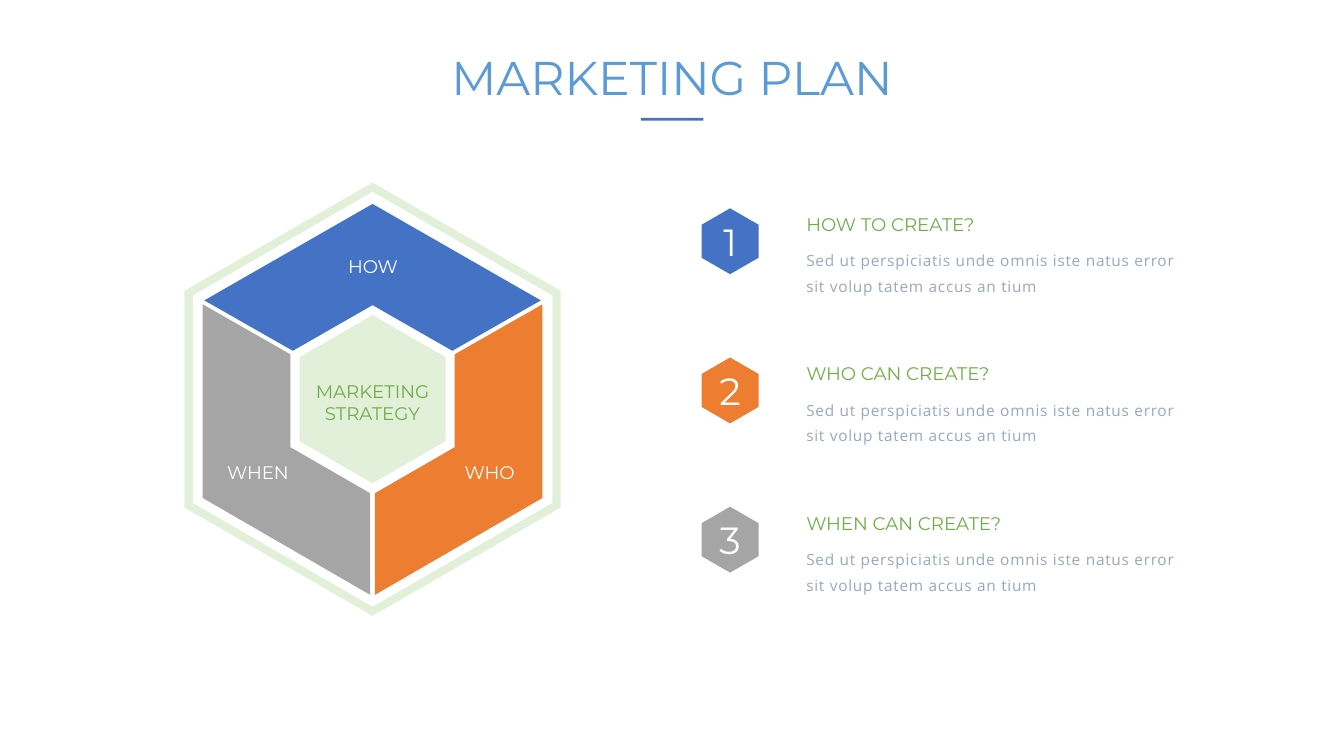
from typing import NamedTuple

from pptx import Presentation
from pptx.dml.color import RGBColor
from pptx.enum.shapes import MSO_SHAPE
from pptx.enum.text import MSO_ANCHOR as Anchor, PP_ALIGN as Align
from pptx.util import Cm, Pt

BLUE = RGBColor(0x44, 0x72, 0xC4)
ORANGE = RGBColor(0xED, 0x7D, 0x31)
GRAY = RGBColor(0xA5, 0xA5, 0xA5)
PALE_GREEN = RGBColor(0xE2, 0xF0, 0xD9)
GREEN = RGBColor(0x70, 0xAD, 0x47)
TITLE_BLUE = RGBColor(0x5B, 0x9B, 0xD5)
SLATE = RGBColor(0x99, 0xA8, 0xBD)
WHITE = RGBColor(0xFF, 0xFF, 0xFF)

HEADING_FONT = "Montserrat"
BODY_FONT = "Open Sans"
DETAIL = "Sed ut perspiciatis unde omnis iste natus error sit volup tatem accus an tium"

# All plain numbers below are centimetres.
CENTER_X, CENTER_Y = 9.39, 10.06
NUMBER_X, NUMBER_Y = 18.4, 6.08
STEP_PITCH = 3.76
STEP_TEXT_X, STEP_TEXT_WIDTH = 20.32, 9.75

Outline = list[tuple[float, float]]


class Box(NamedTuple):
    left: float
    top: float
    width: float
    height: float


class Style(NamedTuple):
    size: float
    color: RGBColor
    align: Align = Align.CENTER
    font: str = HEADING_FONT


class Segment(NamedTuple):
    label: str
    color: RGBColor
    outline: Outline  # relative to the diagram centre
    label_left: float
    label_top: float


class Step(NamedTuple):
    heading: str
    color: RGBColor


HOW_OUTLINE: Outline = [(-2.01, -1.22), (0, -2.37), (2.01, -1.22),
                        (4.24, -2.49), (0, -4.92), (-4.24, -2.49)]
WHO_OUTLINE: Outline = [(2.07, -1.13), (2.07, 1.21), (0.06, 2.37),
                        (0.06, 4.93), (4.28, 2.49), (4.28, -2.39)]
WHEN_OUTLINE: Outline = [(-x, y) for x, y in WHO_OUTLINE]

SEGMENTS = [
    Segment("WHEN", GRAY, WHEN_OUTLINE, 5.23, 11.63),
    Segment("WHO", ORANGE, WHO_OUTLINE, 11.07, 11.63),
    Segment("HOW", BLUE, HOW_OUTLINE, 8.13, 6.43),
]
STEPS = [
    Step("HOW TO CREATE?", BLUE),
    Step("WHO CAN CREATE?", ORANGE),
    Step("WHEN CAN CREATE?", GRAY),
]

TITLE_STYLE = Style(33.8, TITLE_BLUE)
SEGMENT_STYLE = Style(13, WHITE)
CORE_STYLE = Style(13, GREEN)
NUMBER_STYLE = Style(27, WHITE)
HEADING_STYLE = Style(13, GREEN, Align.LEFT)
DETAIL_STYLE = Style(11, SLATE, Align.LEFT, BODY_FONT)


def hexagon(half_width: float, half_height: float) -> Outline:
    """Corners of a hexagon standing on its point, around (0, 0)."""
    w, h = half_width, half_height
    return [(0, -h), (w, -h / 2), (w, h / 2), (0, h), (-w, h / 2), (-w, -h / 2)]


def paint(shape, color: RGBColor) -> None:
    shape.shadow.inherit = False
    shape.fill.solid()
    shape.fill.fore_color.rgb = color
    shape.line.fill.background()


def add_outline(slide, x: float, y: float, color: RGBColor, *outlines: Outline) -> None:
    """Draw closed outlines around (x, y) as one filled shape."""
    contours = [[(Cm(x + dx), Cm(y + dy)) for dx, dy in outline] for outline in outlines]
    builder = slide.shapes.build_freeform(*contours[0][0], scale=1.0)
    builder.add_line_segments(contours[0][1:], close=True)
    for start, *rest in contours[1:]:
        builder.move_to(*start)
        builder.add_line_segments(rest, close=True)
    paint(builder.convert_to_shape(), color)


def add_text(slide, text: str, box: Box, style: Style):
    """Add a wrapped text without margins and return its paragraph."""
    frame = slide.shapes.add_textbox(*map(Cm, box)).text_frame
    frame.word_wrap = True
    frame.margin_left = frame.margin_right = frame.margin_top = frame.margin_bottom = 0
    frame.text = text
    paragraph = frame.paragraphs[0]
    paragraph.alignment = style.align
    font = paragraph.runs[0].font
    font.name = style.font
    font.size = Pt(style.size)
    font.color.rgb = style.color
    return paragraph


def add_title(slide) -> None:
    rule = slide.shapes.add_shape(MSO_SHAPE.RECTANGLE, Cm(16.15), Cm(2.97), Cm(1.58), Cm(0.07))
    paint(rule, BLUE)
    add_text(slide, "MARKETING PLAN", Box(2.34, 1.12, 29.2, 1.63), TITLE_STYLE)
    slide.shapes[-1].text_frame.vertical_anchor = Anchor.MIDDLE


def add_diagram(slide) -> None:
    for segment in SEGMENTS:
        add_outline(slide, CENTER_X, CENTER_Y, segment.color, segment.outline)
    add_outline(slide, CENTER_X, CENTER_Y, PALE_GREEN, hexagon(1.84, 2.12))
    add_outline(slide, CENTER_X, CENTER_Y, PALE_GREEN,
                hexagon(4.74, 5.46), hexagon(4.53, 5.23)[::-1])
    for segment in SEGMENTS:
        add_text(slide, segment.label,
                 Box(segment.label_left, segment.label_top, 2.54, 0.56), SEGMENT_STYLE)
    add_text(slide, "MARKETING STRATEGY", Box(7.85, 9.58, 3.07, 1.12), CORE_STYLE)


def add_step(slide, index: int, step: Step) -> None:
    y = NUMBER_Y + index * STEP_PITCH
    add_outline(slide, NUMBER_X, y, step.color, hexagon(0.72, 0.83))
    add_text(slide, str(index + 1), Box(NUMBER_X - 0.66, y - 0.57, 1.32, 1.14), NUMBER_STYLE)
    add_text(slide, step.heading,
             Box(STEP_TEXT_X, y - 0.7, STEP_TEXT_WIDTH, 0.56), HEADING_STYLE)
    detail = add_text(slide, DETAIL,
                      Box(STEP_TEXT_X, y + 0.07, STEP_TEXT_WIDTH, 1.24), DETAIL_STYLE)
    detail.line_spacing = 1.4
    detail.space_after = Pt(6)
    detail.runs[0].font._element.set("spc", "50")


def main() -> None:
    presentation = Presentation()
    presentation.slide_width, presentation.slide_height = Cm(33.87), Cm(19.05)
    slide = presentation.slides.add_slide(presentation.slide_layouts[6])
    add_title(slide)
    add_diagram(slide)
    for index, step in enumerate(STEPS):
        add_step(slide, index, step)
    presentation.save("out.pptx")


if __name__ == "__main__":
    main()
